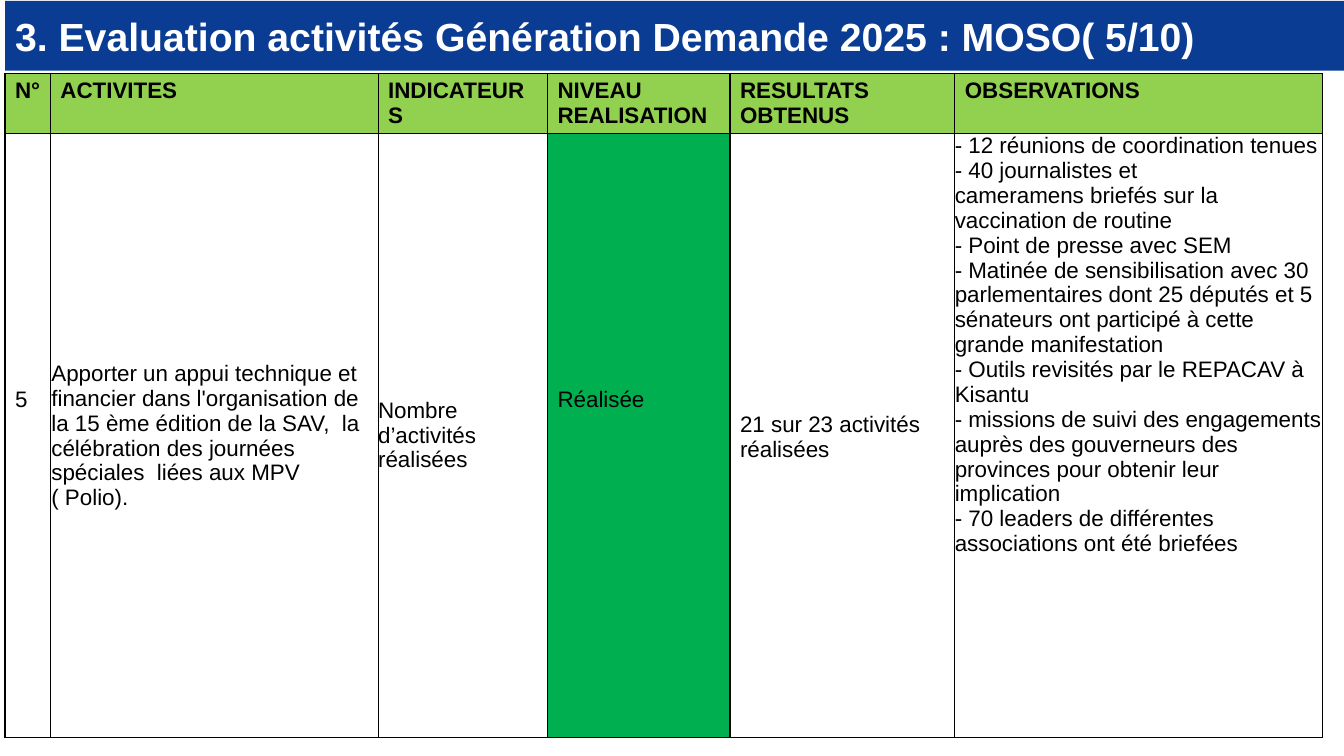
from dataclasses import dataclass

import pptx
import pptx.dml.color
import pptx.enum.text
import pptx.oxml
import pptx.oxml.ns
import pptx.table
import pptx.text.text
import pptx.util

Inches = pptx.util.Inches
RGBColor = pptx.dml.color.RGBColor
Anchor = pptx.enum.text.MSO_ANCHOR

NAVY = RGBColor(0x09, 0x3C, 0x92)
LIME = RGBColor(0x92, 0xD0, 0x50)
GREEN = RGBColor(0x00, 0xB0, 0x50)
WHITE = RGBColor(0xFF, 0xFF, 0xFF)
BLACK = RGBColor(0x00, 0x00, 0x00)

FONT = "Arial"
DEFAULT_INSETS = (0.1, 0.05, 0.1, 0.05)
NO_INSETS = (0, 0, 0, 0)


@dataclass
class Cell:
    text: str
    fill: RGBColor = WHITE
    insets: tuple[float, float, float, float] = DEFAULT_INSETS
    anchor: Anchor = Anchor.TOP
    bold: bool = False


@dataclass
class Column:
    width: float
    heading: str
    body: Cell


OBSERVATIONS = "\n".join([
    "- 12 réunions de coordination tenues",
    "- 40 journalistes et",
    "cameramens briefés sur la vaccination de routine",
    "- Point de presse avec SEM",
    "- Matinée de sensibilisation avec 30 parlementaires dont 25 députés "
    "et 5 sénateurs ont participé à cette grande manifestation",
    "- Outils revisités par le REPACAV à Kisantu",
    "- missions de suivi des engagements auprès des gouverneurs des "
    "provinces pour obtenir leur implication",
    "- 70 leaders de différentes associations ont été briefées",
])
ACTIVITY = (
    "Apporter un appui technique et financier dans l'organisation de la "
    "15 ème édition de la SAV,  la célébration des journées spéciales  "
    "liées aux MPV ( Polio)."
)

COLUMNS = [
    Column(0.45, "N°", Cell("5", insets=(0.1, 2.52, 0.1, 0.05))),
    Column(3.25, "ACTIVITES",
           Cell(ACTIVITY, insets=(0.01, 0.01, 0.01, 0), anchor=Anchor.MIDDLE)),
    Column(1.68, "INDICATEURS",
           Cell("Nombre d’activités réalisées", insets=NO_INSETS,
                anchor=Anchor.MIDDLE)),
    Column(1.81, "NIVEAU REALISATION",
           Cell("Réalisée", GREEN, (0.1, 2.52, 0.1, 0.05))),
    Column(2.23, "RESULTATS OBTENUS",
           Cell("21 sur 23 activités réalisées",
                insets=(0.1, 2.77, 0.1, 0.05))),
    Column(3.65, "OBSERVATIONS", Cell(OBSERVATIONS, insets=NO_INSETS)),
]
ROW_HEIGHTS = (0.56, 5.99)


def format_text(tf: pptx.text.text.TextFrame, size: float,
                color: RGBColor, bold: bool) -> None:
    for p in tf.paragraphs:
        p.alignment = pptx.enum.text.PP_ALIGN.LEFT
        for r in p.runs:
            r.font.name = FONT
            r.font.size = pptx.util.Pt(size)
            r.font.bold = bold
            r.font.color.rgb = color


def add_borders(cell: pptx.table._Cell) -> None:
    tc_pr = cell._tc.get_or_add_tcPr()
    ns = pptx.oxml.ns.nsdecls("a")
    for i, side in enumerate(("lnL", "lnR", "lnT", "lnB")):
        line = pptx.oxml.parse_xml(
            f'<a:{side} {ns} w="12700"><a:solidFill><a:srgbClr val="{BLACK}"/>'
            f'</a:solidFill></a:{side}>')
        tc_pr.insert(i, line)


def fill_cell(cell: pptx.table._Cell, content: Cell) -> None:
    cell.text_frame.text = content.text
    format_text(cell.text_frame, 16, BLACK, content.bold)
    left, top, right, bottom = content.insets
    cell.margin_left, cell.margin_top = Inches(left), Inches(top)
    cell.margin_right, cell.margin_bottom = Inches(right), Inches(bottom)
    cell.vertical_anchor = content.anchor
    cell.fill.solid()
    cell.fill.fore_color.rgb = content.fill
    add_borders(cell)


def main() -> None:
    prs = pptx.Presentation()
    prs.slide_width, prs.slide_height = Inches(13.33), Inches(7.5)
    s = prs.slides.add_slide(prs.slide_layouts[5])

    # Title band
    title = s.shapes.title
    title.left, title.top = Inches(0.05), Inches(0.01)
    title.width, title.height = Inches(13.28), Inches(0.69)
    title.fill.solid()
    title.fill.fore_color.rgb = NAVY
    tf = title.text_frame
    tf.text = "3. Evaluation activités Génération Demande 2025 : MOSO( 5/10)"
    tf.word_wrap = True
    tf.auto_size = pptx.enum.text.MSO_AUTO_SIZE.NONE
    tf.vertical_anchor = Anchor.MIDDLE
    format_text(tf, 28, WHITE, True)

    # Activity table
    table = s.shapes.add_table(
        len(ROW_HEIGHTS), len(COLUMNS), Inches(0.05), Inches(0.73),
        Inches(sum(c.width for c in COLUMNS)), Inches(sum(ROW_HEIGHTS))).table
    table.first_row = table.horz_banding = False
    for row, height in zip(table.rows, ROW_HEIGHTS):
        row.height = Inches(height)
    for i, column in enumerate(COLUMNS):
        table.columns[i].width = Inches(column.width)
        fill_cell(table.cell(0, i), Cell(column.heading, LIME, bold=True))
        fill_cell(table.cell(1, i), column.body)

    prs.save("out.pptx")


if __name__ == "__main__":
    main()
